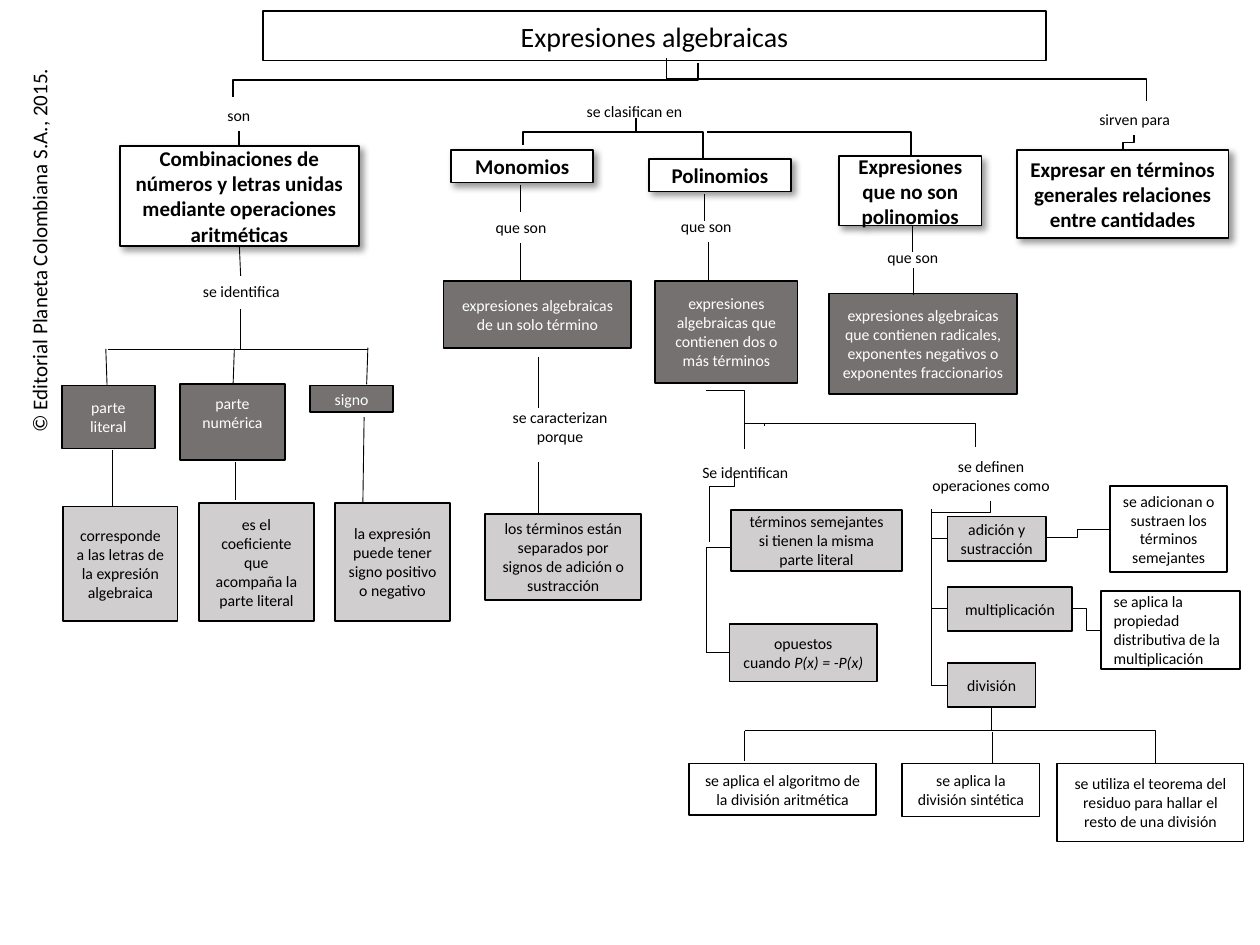
from lxml.etree import SubElement
from pptx import Presentation
from pptx.dml.color import RGBColor
from pptx.enum.shapes import MSO_CONNECTOR, MSO_SHAPE
from pptx.enum.text import MSO_ANCHOR, MSO_AUTO_SIZE, PP_ALIGN
from pptx.oxml.ns import qn
from pptx.util import Cm, Pt

GRID = 2.54  # centimetres in one grid unit of the diagram
BLACK, WHITE, DARK, LIGHT = "000000", "FFFFFF", "767171", "D0CECE"


def length(units):
    return Cm(units * GRID)


def color(value):
    return RGBColor.from_string(value)


def write_text(shape, text, size=9, ink=BLACK, bold=False, align=PP_ALIGN.CENTER,
               anchor=MSO_ANCHOR.MIDDLE, wrap=True, bottom=0.05):
    """Fill a shape with text; a new line is a paragraph, *stars* mean italic."""
    frame = shape.text_frame
    frame.word_wrap = wrap
    frame.vertical_anchor = anchor
    frame.margin_left = frame.margin_right = length(0.1)
    frame.margin_top, frame.margin_bottom = length(0.05), length(bottom)
    for index, line in enumerate(text.split("\n")):
        paragraph = frame.add_paragraph() if index else frame.paragraphs[0]
        paragraph.alignment = align
        for position, piece in enumerate(line.split("*")):
            if piece:
                run = paragraph.add_run()
                run.text = piece
                font = run.font
                font.name, font.size, font.bold = "Calibri", Pt(size), bold
                font.color.rgb = color(ink)
                if position % 2:
                    font.italic = True


def paint(shape, fill):
    if fill:
        shape.fill.solid()
        shape.fill.fore_color.rgb = color(fill)
    else:
        shape.fill.background()
    shape.line.color.rgb = color(BLACK)
    shape.line.width = Pt(1)


def add_box(slide, place, text, fill=None, **text_format):
    shape = slide.shapes.add_shape(MSO_SHAPE.RECTANGLE, *map(length, place))
    shape.shadow.inherit = False
    paint(shape, fill)
    write_text(shape, text, **text_format)
    return shape


def add_concept(slide, place, text):
    """White bold box with a soft shadow to the lower right."""
    shape = add_box(slide, place, text, WHITE, size=12, bold=True)
    effects = shape._element.spPr.find(qn("a:effectLst"))
    shadow = SubElement(effects, qn("a:outerShdw"), blurRad=str(Pt(4)), dist=str(Pt(3)),
                        dir="2700000", algn="tl", rotWithShape="0")
    shade = SubElement(shadow, qn("a:srgbClr"), val=BLACK)
    SubElement(shade, qn("a:alpha"), val="40000")


def add_label(slide, left, top, text, width=1.23, height=0.25, **text_format):
    box = slide.shapes.add_textbox(*map(length, (left, top, width, height)))
    write_text(box, text, anchor=MSO_ANCHOR.TOP, **text_format)
    box.text_frame.auto_size = MSO_AUTO_SIZE.SHAPE_TO_FIT_TEXT
    return box


def add_line(slide, x1, y1, x2, y2, weight=0.5, kind=MSO_CONNECTOR.STRAIGHT):
    connector = slide.shapes.add_connector(kind, *map(length, (x1, y1, x2, y2)))
    connector.line.color.rgb = color(BLACK)
    connector.line.width = Pt(weight)
    SubElement(connector._element.spPr, qn("a:effectLst"))
    return connector


def add_elbow(slide, x1, y1, x2, y2, weight=0.5, down=False, bend=0.5):
    """Elbow that leaves sideways or down; bend None gives a single corner."""
    if down:  # lay the path on its side around its middle, then turn it
        middle_x, middle_y = (x1 + x2) / 2, (y1 + y2) / 2
        half_x, half_y = (x2 - x1) / 2, (y2 - y1) / 2
        x1, x2 = middle_x - half_y, middle_x + half_y
        y1, y2 = middle_y + half_x, middle_y - half_x
    connector = add_line(slide, x1, y1, x2, y2, weight, MSO_CONNECTOR.ELBOW)
    properties = connector._element.spPr
    if down:
        properties.find(qn("a:xfrm")).set("rot", "5400000")
    geometry = properties.find(qn("a:prstGeom"))
    if bend is None:
        geometry.set("prst", "bentConnector2")
    elif bend != 0.5:
        SubElement(geometry.find(qn("a:avLst")), qn("a:gd"), name="adj1",
                   fmla=f"val {round(bend * 100000)}")


def add_title(slide, place, text):
    title = slide.shapes.title
    title.left, title.top, title.width, title.height = map(length, place)
    paint(title, WHITE)
    write_text(title, text, size=16)
    title.text_frame.auto_size = MSO_AUTO_SIZE.NONE


def add_boxes(slide):
    # Main concepts
    for place, text in (
        ((0.95, 1.16, 1.9, 0.79),
         "Combinaciones de números y letras unidas mediante operaciones aritméticas"),
        ((3.58, 1.19, 1.13, 0.26), "Monomios"),
        ((5.15, 1.26, 1.13, 0.26), "Polinomios"),
        ((6.66, 1.24, 1.13, 0.55), "Expresiones que no son polinomios"),
        ((8.07, 1.19, 1.68, 0.7), "Expresar en términos generales relaciones entre cantidades"),
    ):
        add_concept(slide, place, text)

    # Definitions and parts
    for place, text in (
        ((0.49, 3.06, 0.74, 0.5), "parte literal"),
        ((2.46, 3.06, 0.66, 0.21), "signo"),
        ((3.52, 2.23, 1.49, 0.53), "expresiones algebraicas de un solo término"),
        ((5.2, 2.23, 1.13, 0.81), "expresiones algebraicas que contienen dos o más términos"),
        ((6.58, 2.33, 1.49, 0.8), "expresiones algebraicas que contienen radicales, "
                                  "exponentes negativos o exponentes fraccionarios"),
    ):
        add_box(slide, place, text, DARK, ink=WHITE)
    add_box(slide, (1.43, 3.05, 0.83, 0.6), "parte numérica", DARK, ink=WHITE, bottom=0.2)

    # Explanations and operations
    for place, text in (
        ((0.5, 4.02, 0.91, 0.91), "corresponde a las letras de la expresión algebraica"),
        ((1.58, 3.99, 0.91, 0.94), "es el coeficiente que acompaña la parte literal"),
        ((2.66, 3.99, 0.91, 0.94), "la expresión puede tener signo positivo o negativo"),
        ((3.85, 4.08, 1.24, 0.68),
         "los términos están separados por signos de adición o sustracción"),
        ((5.8, 4.05, 1.36, 0.48), "términos semejantes\nsi tienen la misma parte literal"),
        ((5.79, 4.95, 1.17, 0.46), "opuestos\ncuando *P(x) = -P(x)*"),
        ((7.52, 4.1, 0.78, 0.35), "adición y sustracción"),
        ((7.52, 4.66, 0.99, 0.35), "multiplicación"),
        ((7.52, 5.26, 0.7, 0.35), "división"),
    ):
        add_box(slide, place, text, LIGHT)

    # Procedures
    for place, text in (
        ((8.81, 3.86, 0.93, 0.68), "se adicionan o sustraen los términos semejantes"),
        ((5.47, 6.06, 1.48, 0.41), "se aplica el algoritmo de la división aritmética"),
        ((7.16, 6.06, 1.09, 0.42), "se aplica la división sintética"),
        ((8.39, 6.06, 1.48, 0.62),
         "se utiliza el teorema del residuo para hallar el resto de una división"),
    ):
        add_box(slide, place, text)
    add_box(slide, (8.74, 4.69, 1.1, 0.62),
            "se aplica la propiedad distributiva de la multiplicación", align=PP_ALIGN.LEFT)


def add_labels(slide):
    for left, top, text in (
        (1.28, 0.79, "son"), (4.42, 0.76, "se clasifican en"), (8.39, 0.82, "sirven para"),
        (1.3, 2.19, "se identifica"), (3.52, 1.68, "que son"), (4.99, 1.67, "que son"),
        (6.63, 1.92, "que son"), (5.3, 3.62, "Se identifican"),
    ):
        add_label(slide, left, top, text)
    add_label(slide, 7.25, 3.58, "se definen operaciones como", height=0.4)
    add_label(slide, 3.83, 3.19, "se caracterizan porque", height=0.4)


def add_links(slide):
    # Title to its three branches, and the classification
    add_elbow(slide, 5.54, 0.5, 1.85, 0.77, 1, down=True)
    add_elbow(slide, 5.29, 0.46, 9.1, 0.8, 1, down=True)
    add_line(slide, 1.9, 1.04, 1.9, 1.16, 1)
    add_elbow(slide, 9, 1.07, 8.91, 1.19, 1, down=True)
    add_elbow(slide, 5.05, 0.94, 4.15, 1.15, 1, down=True)
    add_elbow(slide, 5.02, 1.05, 6.14, 1.26, 1)
    add_elbow(slide, 5.61, 1.05, 7.23, 1.24, 1, bend=None)

    # Vertical stems: x, top, bottom
    for x, top, bottom in (
        (1.87, 3.67, 3.97), (0.89, 3.57, 4.02), (4.13, 1.47, 1.68), (4.13, 1.93, 2.23),
        (5.59, 1.54, 1.75), (5.62, 1.92, 2.22), (7.24, 1.79, 2), (7.25, 2.13, 2.34),
        (4.27, 2.83, 3.24), (4.27, 3.67, 4.08), (5.91, 5.8, 6.04), (7.88, 5.81, 6.06),
        (1.91, 2.45, 2.78),
    ):
        add_line(slide, x, top, x, bottom)

    # Crossbar and slanted lines of the left branch
    for ends in ((0.86, 2.77, 2.92, 2.77), (0.84, 2.77, 0.85, 3.06), (1.86, 2.77, 1.85, 3.05),
                 (2.92, 2.76, 2.91, 3.05), (2.89, 3.31, 2.88, 3.99), (1.9, 1.95, 1.91, 2.19)):
        add_line(slide, *ends)

    # Polynomials: identification
    add_elbow(slide, 5.6, 3.1, 6.21, 3.36)
    add_elbow(slide, 6.21, 3.36, 7.74, 3.55, bend=None)
    add_elbow(slide, 6.07, 3.38, 5.91, 3.56, down=True, bend=-0.11)
    add_elbow(slide, 5.83, 3.78, 5.63, 4.3, down=True, bend=0.16)
    add_elbow(slide, 5.8, 4.2, 5.61, 5.18, down=True, bend=0.15)
    add_line(slide, 5.6, 5.18, 5.79, 5.18)

    # Polynomials: operations
    add_elbow(slide, 7.86, 3.98, 7.39, 4.07, down=True, bend=None)
    for top, bottom in ((4.04, 4.27), (4.28, 4.83), (4.82, 5.44)):
        add_elbow(slide, 7.39, top, 7.52, bottom, down=True, bend=None)
    add_elbow(slide, 8.3, 4.27, 8.81, 4.2)
    add_elbow(slide, 8.51, 4.83, 8.74, 5)
    add_elbow(slide, 5.91, 5.8, 7.87, 5.61, bend=None)
    add_elbow(slide, 7.85, 5.8, 9.37, 6.06, bend=0.87)


def main():
    presentation = Presentation()
    presentation.slide_width, presentation.slide_height = Cm(25.4), Cm(19.05)
    slide = presentation.slides.add_slide(presentation.slide_layouts[5])
    add_title(slide, (2.09, 0.09, 6.21, 0.39), "Expresiones algebraicas")
    notice = add_label(slide, -1.25, 1.82, "© Editorial Planeta Colombiana S.A., 2015.",
                       width=3.12, height=0.3, size=12, align=PP_ALIGN.LEFT, wrap=False)
    notice.rotation = 270
    add_boxes(slide)
    add_labels(slide)
    add_links(slide)
    presentation.save("out.pptx")


if __name__ == "__main__":
    main()
